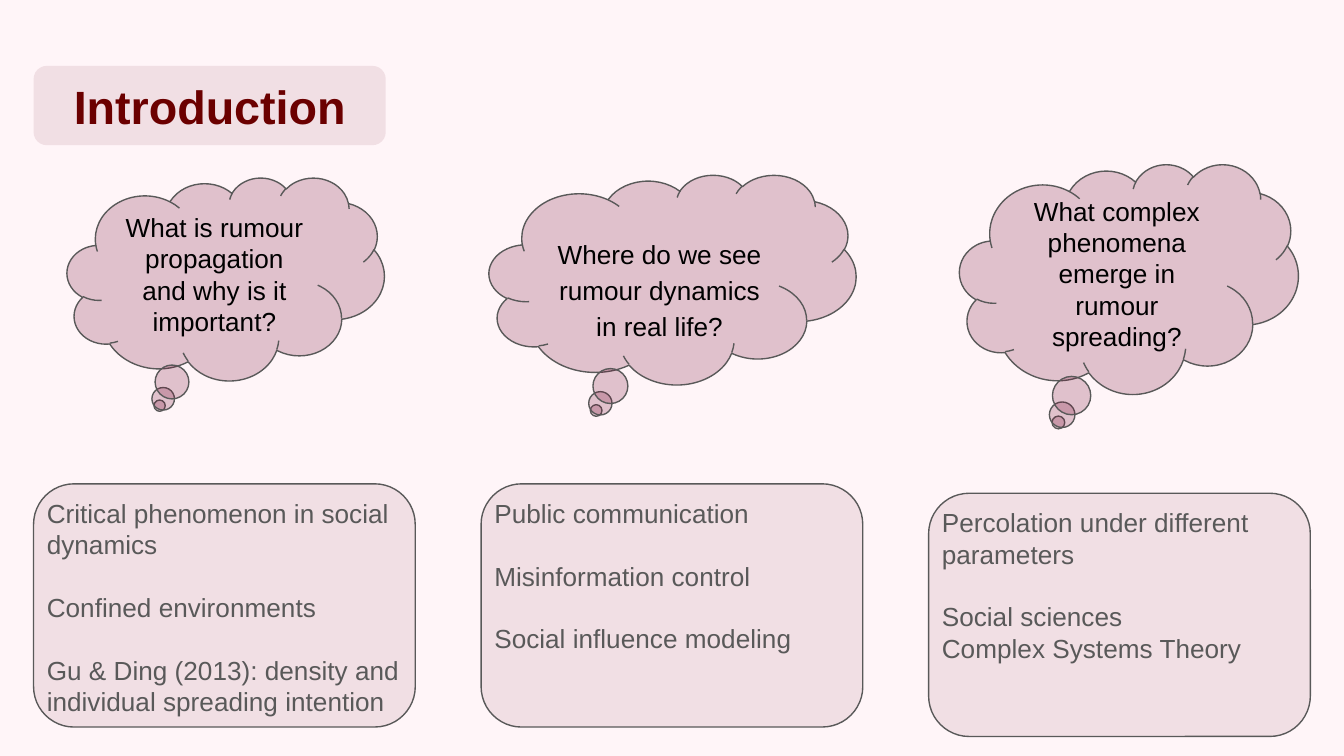
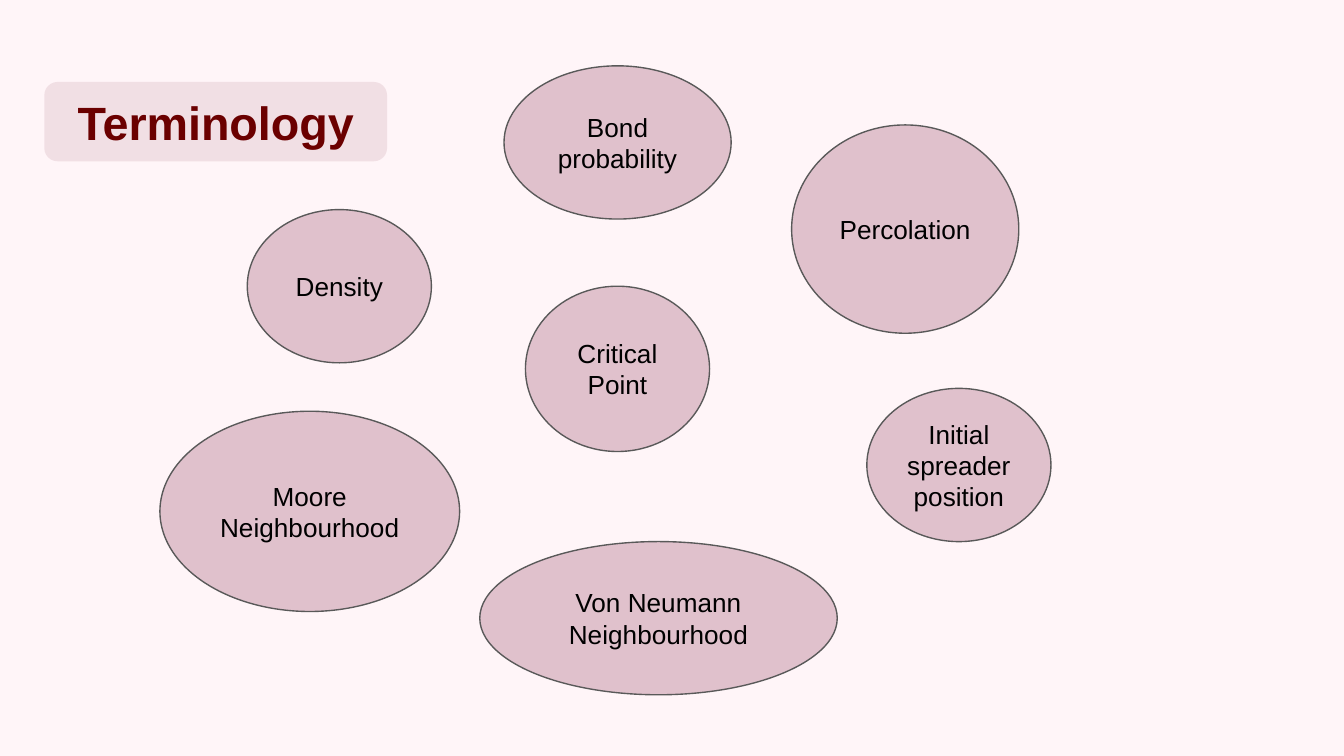
from lxml.etree import SubElement
from pptx import Presentation
from pptx.dml.color import RGBColor
from pptx.enum.shapes import MSO_SHAPE
from pptx.enum.text import MSO_ANCHOR, PP_ALIGN
from pptx.oxml.ns import qn
from pptx.util import Inches, Pt

COLUMNS, ROWS = 100, 56.25
SLIDE_WIDTH, SLIDE_HEIGHT = Inches(10), Inches(5.625)
FONT = "Arial"
BACKGROUND, PLUM, ROSE = "FFF5F8", "740A30", "E1C3CC"
MAROON, GREY, BLACK = "6B0000", "595959", "000000"
PLUM_OPACITY, ROSE_OPACITY = 22, 44
BLANK_LINE = 16.8

PANEL_LEFT, PANEL_PITCH = 2.5, 33.3
PANEL_WIDTH, PANEL_HEIGHT = 28.4, 18.1

# place (left, top, width, height) in grid units, wording, extra text format
CLOUDS = [
    ((5, 13.2, 23.6, 15.1),
     ["What is rumour\npropagation and why is it\nimportant?"], {}),
    ((36.4, 13, 27.3, 15.6),
     ["Where do we see rumour dynamics in real life?"],
     {"line_spacing": 1.15, "top_inset": 0.2, "bottom_inset": 0}),
    ((71.4, 12.2, 25.2, 17.1),
     ["What complex phenomena emerge in rumour spreading?"], {}),
]

# top row and groups of lines, one entry for each column
PANELS = [
    (36, ["Critical phenomenon in social dynamics",
          "Confined environments",
          "Gu & Ding (2013): density and individual spreading intention"]),
    (36, ["Public communication",
          "Misinformation control",
          "Social influence modeling"]),
    (36.7, ["Percolation under different parameters",
            "Social sciences\nComplex Systems Theory"]),
]

TERMS = [
    ((18.4, 15.6, 13.7, 11.4), "Density"),
    ((37.5, 4.9, 16.9, 11.4), "Bond probability"),
    ((64.5, 28.9, 13.7, 11.4), "Initial spreader position"),
    ((11.9, 30.6, 22.3, 14.9), "Moore Neighbourhood"),
    ((35.7, 40.3, 26.6, 11.4), "Von Neumann Neighbourhood"),
    ((58.9, 9.3, 16.9, 15.5), "Percolation"),
    ((39.1, 21.3, 13.7, 12.3), "Critical Point"),
]


def color(hex_string):
    return RGBColor.from_string(hex_string)


def on_grid(place):
    """Turn grid units into slide lengths."""
    left, top, width, height = place
    column, row = SLIDE_WIDTH / COLUMNS, SLIDE_HEIGHT / ROWS
    return (round(left * column), round(top * row),
            round(width * column), round(height * row))


def write_text(shape, groups, size=14, font_color=BLACK, bold=False,
               align=PP_ALIGN.CENTER, anchor=MSO_ANCHOR.MIDDLE,
               line_spacing=None, top_inset=0.1, bottom_inset=0.1):
    """Write groups of lines, with one line's space between groups."""
    frame = shape.text_frame
    frame.word_wrap = True
    frame.vertical_anchor = anchor
    frame.margin_left = frame.margin_right = Inches(0.1)
    frame.margin_top, frame.margin_bottom = Inches(top_inset), Inches(bottom_inset)
    paragraph = None
    for group in groups:
        for index, line in enumerate(group.split("\n")):
            is_first = paragraph is None
            paragraph = frame.paragraphs[0] if is_first else frame.add_paragraph()
            paragraph.alignment = align
            paragraph.line_spacing = line_spacing
            if index == 0 and not is_first:
                paragraph.space_before = Pt(BLANK_LINE)
            run = paragraph.add_run()
            run.text = line
            run.font.name, run.font.size, run.font.bold = FONT, Pt(size), bold
            run.font.color.rgb = color(font_color)


def add_tinted_shape(slide, kind, place, fill, opacity, outlined=True):
    shape = slide.shapes.add_shape(kind, *on_grid(place))
    shape.shadow.inherit = False
    shape.fill.solid()
    shape.fill.fore_color.rgb = color(fill)
    fill_color = shape.fill._xPr.find(qn("a:solidFill"))[0]
    SubElement(fill_color, qn("a:alpha"), val=str(opacity * 1000))
    if outlined:
        shape.line.color.rgb = color(GREY)
        shape.line.width = Pt(0.75)
    else:
        shape.line.fill.background()
    return shape


def add_title(slide, text, place):
    shape = add_tinted_shape(slide, MSO_SHAPE.ROUNDED_RECTANGLE, place,
                             ROSE, ROSE_OPACITY, outlined=False)
    write_text(shape, [text], size=25, font_color=MAROON, bold=True)


def add_bubble(slide, kind, place, groups, **text_format):
    shape = add_tinted_shape(slide, kind, place, PLUM, PLUM_OPACITY)
    write_text(shape, groups, **text_format)


def add_panel(slide, place, groups):
    add_tinted_shape(slide, MSO_SHAPE.ROUNDED_RECTANGLE, place, ROSE, ROSE_OPACITY)
    text_box = slide.shapes.add_textbox(*on_grid(place))
    write_text(text_box, groups, font_color=GREY,
               align=PP_ALIGN.LEFT, anchor=MSO_ANCHOR.TOP)


def add_slide(presentation):
    slide = presentation.slides.add_slide(presentation.slide_layouts[6])
    slide.background.fill.solid()
    slide.background.fill.fore_color.rgb = color(BACKGROUND)
    return slide


def build_introduction(presentation):
    slide = add_slide(presentation)
    for place, groups, text_format in CLOUDS:
        add_bubble(slide, MSO_SHAPE.CLOUD_CALLOUT, place, groups, **text_format)
    add_title(slide, "Introduction", (2.5, 4.9, 26.2, 5.9))
    for index, (top, groups) in enumerate(PANELS):
        left = PANEL_LEFT + index * PANEL_PITCH
        add_panel(slide, (left, top, PANEL_WIDTH, PANEL_HEIGHT), groups)


def build_terminology(presentation):
    slide = add_slide(presentation)
    for place, term in TERMS:
        add_bubble(slide, MSO_SHAPE.OVAL, place, [term])
    add_title(slide, "Terminology", (3.3, 6.1, 25.5, 5.9))


def main():
    presentation = Presentation()
    presentation.slide_width, presentation.slide_height = SLIDE_WIDTH, SLIDE_HEIGHT
    build_introduction(presentation)
    build_terminology(presentation)
    presentation.save("out.pptx")


if __name__ == "__main__":
    main()
